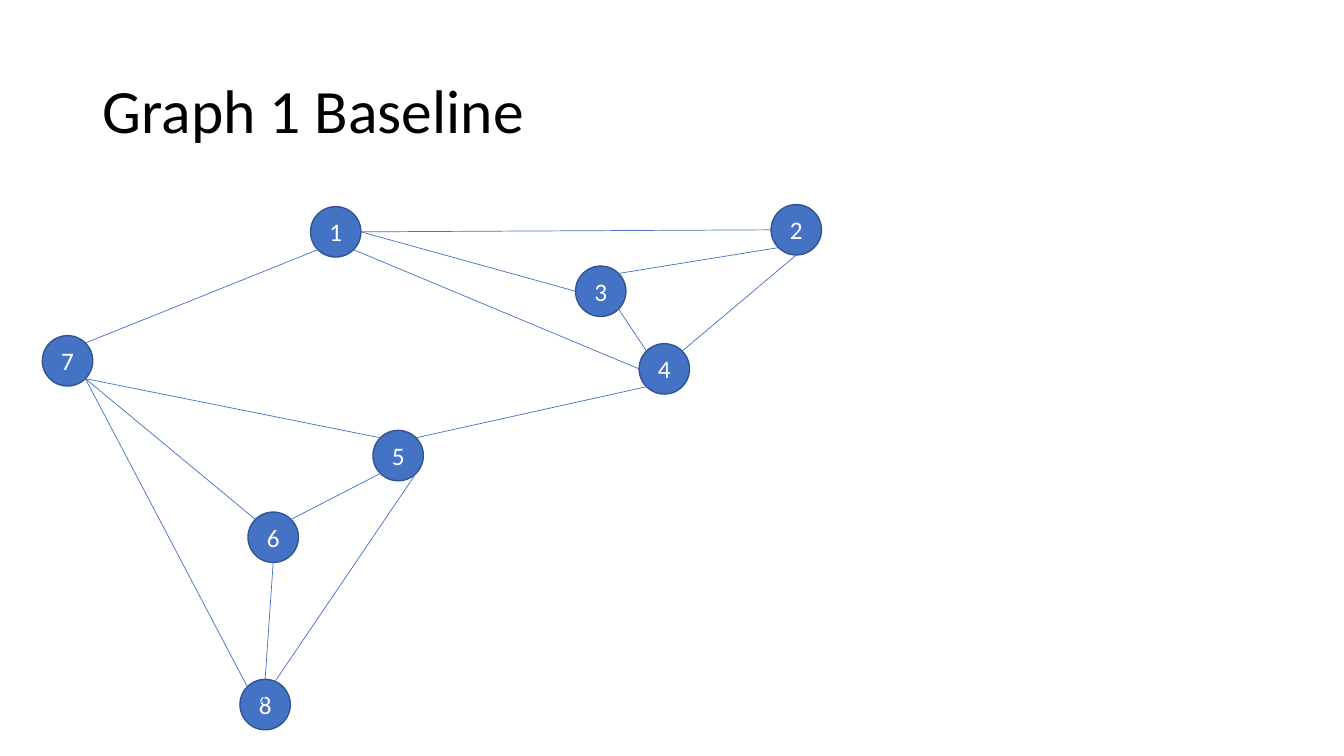
from dataclasses import dataclass
from math import sqrt

from lxml import etree
from pptx import Presentation
from pptx import util as u
from pptx.dml.color import RGBColor
from pptx.enum import shapes, text
from pptx.oxml.ns import qn


@dataclass(frozen=True)
class Theme:
    """Colours, type sizes and line widths of the slide."""
    font: str = "Calibri"
    ink: str = "000000"
    node_ink: str = "FFFFFF"
    node_fill: str = "4472C4"
    node_rim: str = "325491"
    edge: str = "4472C4"
    title_size: float = 44
    node_size: float = 18
    rim_width: float = 1
    edge_width: float = 0.5


THEME = Theme()
WIDTH, HEIGHT = u.Inches(13.333), u.Inches(7.5)
DIAMETER = u.Inches(0.5)

# Node centres, in percent of the slide's width and height
NODES = {
    1: (24.98, 30.67),
    2: (59.25, 30.4),
    3: (44.7, 38.53),
    4: (49.43, 48.8),
    5: (29.63, 60.27),
    6: (20.33, 71.07),
    7: (5.03, 47.73),
    8: (19.73, 93.2),
}

# Directions from a node's centre to the places where edges meet its rim
DIAGONAL = 1 / sqrt(2)
RIM = {
    "n": (0, -1), "s": (0, 1), "w": (-1, 0), "e": (1, 0),
    "nw": (-DIAGONAL, -DIAGONAL), "ne": (DIAGONAL, -DIAGONAL),
    "sw": (-DIAGONAL, DIAGONAL), "se": (DIAGONAL, DIAGONAL),
}

# Start node and side, end node and side
EDGES = [
    (1, "e", 2, "w"), (1, "e", 3, "w"), (1, "se", 4, "w"), (1, "sw", 7, "ne"),
    (2, "sw", 3, "ne"), (4, "ne", 2, "s"), (3, "se", 4, "nw"),
    (5, "ne", 4, "sw"), (5, "sw", 6, "ne"), (5, "nw", 7, "se"),
    (5, "se", 8, "sw"), (7, "se", 6, "nw"), (6, "s", 8, "n"),
    (7, "se", 8, "nw"),
]


def across(percent):
    """Turn a share of the slide's width into a length."""
    return round(WIDTH * percent / 100)


def down(percent):
    """Turn a share of the slide's height into a length."""
    return round(HEIGHT * percent / 100)


def write(holder, words, *, size, color, align, spacing=1.0):
    """Write one vertically centred paragraph into a shape or text box."""
    frame = holder.text_frame
    frame.word_wrap = True
    frame.vertical_anchor = text.MSO_ANCHOR.MIDDLE
    paragraph = frame.paragraphs[0]
    paragraph.alignment = align
    paragraph.line_spacing = spacing
    run = paragraph.add_run()
    run.text = words
    run.font.name = THEME.font
    run.font.size = u.Pt(size)
    run.font.color.rgb = RGBColor.from_string(color)


def style_line(line, color, width):
    """Set the colour and width of a line."""
    line.color.rgb = RGBColor.from_string(color)
    line.width = u.Pt(width)


def add_title(slide, words):
    """Add the slide's heading."""
    heading = slide.shapes.add_textbox(
        across(6.9), down(5.33), across(86.25), down(19.33))
    write(heading, words, size=THEME.title_size, color=THEME.ink,
          align=text.PP_ALIGN.LEFT, spacing=0.9)


def add_node(slide, number):
    """Add a numbered node around its centre."""
    x, y = NODES[number]
    node = slide.shapes.add_shape(
        shapes.MSO_SHAPE.FLOWCHART_CONNECTOR,
        across(x) - DIAMETER // 2, down(y) - DIAMETER // 2, DIAMETER, DIAMETER)
    node.shadow.inherit = False
    node.fill.solid()
    node.fill.fore_color.rgb = RGBColor.from_string(THEME.node_fill)
    style_line(node.line, THEME.node_rim, THEME.rim_width)
    write(node, str(number), size=THEME.node_size, color=THEME.node_ink,
          align=text.PP_ALIGN.CENTER)


def rim_point(number, side):
    """Find the point on a node's rim at the given side."""
    x, y = NODES[number]
    dx, dy = RIM[side]
    radius = DIAMETER / 2
    return round(across(x) + dx * radius), round(down(y) + dy * radius)


def add_edge(slide, start, start_side, end, end_side):
    """Join two nodes with a straight line from rim to rim."""
    edge = slide.shapes.add_connector(
        shapes.MSO_CONNECTOR.STRAIGHT,
        *rim_point(start, start_side), *rim_point(end, end_side))
    style_line(edge.line, THEME.edge, THEME.edge_width)
    etree.SubElement(edge._element.spPr, qn("a:effectLst"))


def main():
    """Build the graph slide and save it."""
    deck = Presentation()
    deck.slide_width, deck.slide_height = WIDTH, HEIGHT
    slide = deck.slides.add_slide(deck.slide_layouts[6])
    add_title(slide, "Graph 1 Baseline")
    for number in NODES:
        add_node(slide, number)
    for edge in EDGES:
        add_edge(slide, *edge)
    deck.save("out.pptx")


main()
